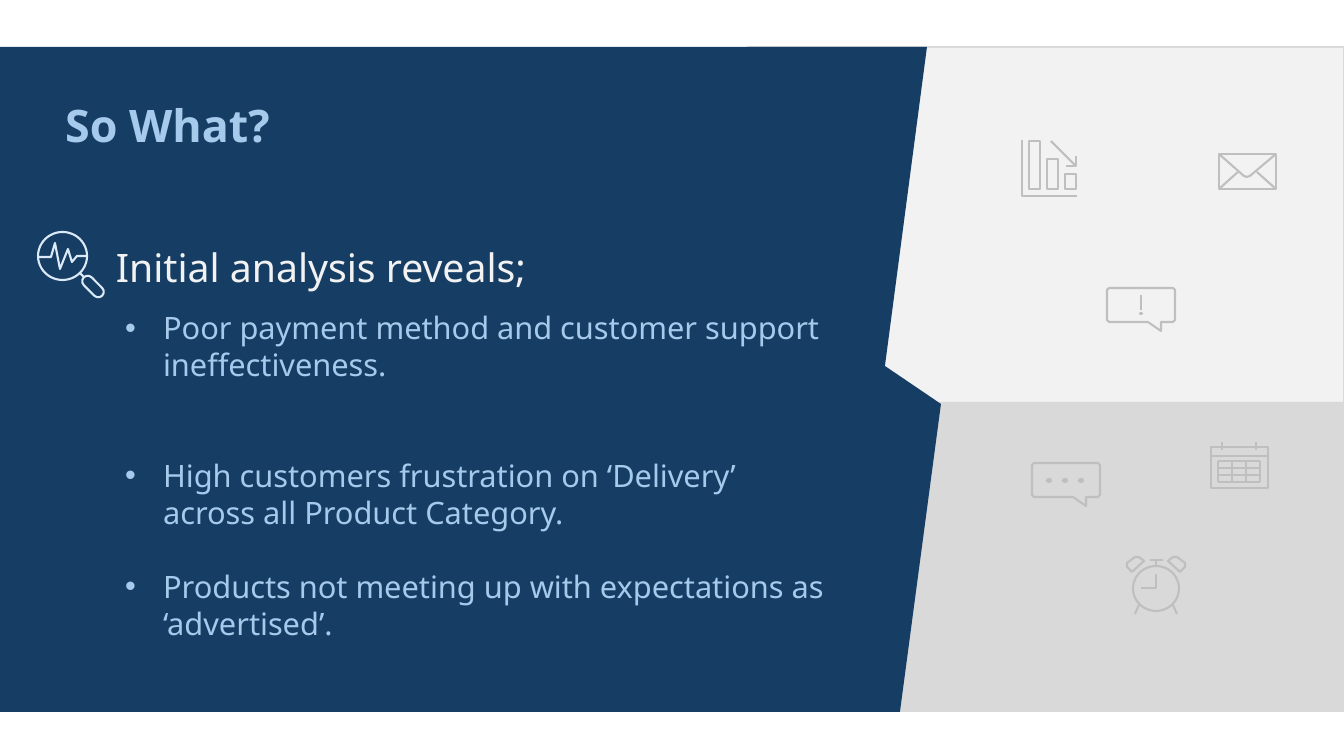
from dataclasses import dataclass
from pptx import Presentation
from pptx.dml.color import RGBColor
from pptx.enum.shapes import MSO_SHAPE as SHAPE
from pptx.enum.text import MSO_ANCHOR as ANCHOR, MSO_AUTO_SIZE as AUTO, PP_ALIGN as ALIGN
from pptx.util import Pt

PX = 914400 / 100.8


@dataclass(frozen=True)
class Theme:
    font: str = "Noto Sans"
    navy: str = "163E64"
    sky: str = "A6CAEC"
    ice: str = "DCEAF7"
    light: str = "F2F2F2"
    panel: str = "D9D9D9"
    icon: str = "BFBFBF"
    title: int = 32
    heading: int = 28
    body: int = 22
    leading: float = 26.4
    stroke: float = 1.5


T = Theme()

TITLE = "So What?"
HEADING = "Initial analysis reveals;"
FINDINGS = [
    ("Poor payment method and customer support ineffectiveness.", 0),
    ("High customers frustration on ‘Delivery’ across all Product Category.", 2),
    ("Products not meeting up with expectations as ‘advertised’.", 1),
]
PANELS = [
    ((748, 47, 596, 376), T.light, T.panel),
    ((748, 402, 596, 310), T.panel, None),
]
BACKDROP = [(0, 47), (927, 47), (885, 366), (941, 404), (900, 712), (0, 712), (0, 47)]


def box(x1, y1, x2, y2):
    return [(x1, y1), (x2, y1), (x2, y2), (x1, y2), (x1, y1)]


def bubble(x, y):
    pts = [(2, 0), (66, 0), (68, 2), (68, 32), (66, 34), (54, 34), (54, 43),
           (41, 34), (2, 34), (0, 32), (0, 2), (2, 0)]
    return [(x + dx, y + dy) for dx, dy in pts]


def mirror(path, axis):
    return [(2 * axis - x, y) for x, y in path]


BELL = [(1132, 572), (1127, 567), (1127, 563), (1135, 557), (1139, 557), (1144, 561), (1132, 572)]
LEG = [(1139, 605), (1135, 614)]

FALLING_CHART = [
    [(1022, 140), (1022, 196), (1077, 196)],
    *[box(x, top, x + 11, 189) for x, top in [(1029, 141), (1047, 159), (1065, 174)]],
    [(1051, 141), (1076, 166)],
    [(1066, 166), (1076, 166), (1076, 156)],
]
ENVELOPE = [
    box(1219, 154, 1276, 189),
    [(1219, 154), (1244, 176), (1247, 177), (1250, 176), (1276, 154)],
    [(1219, 189), (1238, 172)],
    [(1257, 172), (1276, 189)],
]
ALERT = [bubble(1107, 288), [(1141, 295), (1141, 310)]]
CHAT = [bubble(1032, 463)]
CALENDAR = [
    box(1211, 447, 1268, 488),
    [(1211, 456), (1268, 456)],
    *[[(x, 442), (x, 450)] for x in (1222, 1256)],
    *[[(1218 + 14 * i, 461), (1218 + 14 * i, 482)] for i in range(4)],
    *[[(1218, 461 + 7 * i), (1260, 461 + 7 * i)] for i in range(4)],
]
CLOCK = [
    BELL, mirror(BELL, 1156), LEG, mirror(LEG, 1156),
    [(1156, 574), (1156, 588), (1141, 588)],
    [(1156, 565), (1156, 560)],
    [(1150, 560), (1163, 560)],
]
MAGNIFIER = [
    [(39, 257), (51, 257), (55, 243), (60, 269), (68, 249), (72, 262), (77, 256), (86, 256)],
    [(80, 273), (84, 277)],
]
ICONS = [(paths, T.icon) for paths in (FALLING_CHART, ENVELOPE, ALERT, CHAT, CALENDAR, CLOCK)]
ICONS.append((MAGNIFIER, T.ice))

DOTS = [(1139, 312, 4, 3)] + [(1046 + 16 * i, 478, 6, 5) for i in range(3)]
CLOCK_FACE = (1133, 566, 46, 45)
LENS = (38, 232, 49, 48)
HANDLE = (80, 281, 26, 11)


def emu(*lengths):
    return [round(n * PX) for n in lengths]


def paint(sp, fill=None, line=None):
    sp.shadow.inherit = False
    if fill:
        sp.fill.solid()
        sp.fill.fore_color.rgb = RGBColor.from_string(fill)
    else:
        sp.fill.background()
    if line:
        sp.line.color.rgb = RGBColor.from_string(line)
        sp.line.width = Pt(T.stroke)
    else:
        sp.line.fill.background()
    return sp


def add_preset(shapes, kind, rect, fill=None, line=None):
    return paint(shapes.add_shape(kind, *emu(*rect)), fill, line)


def add_outline(shapes, paths, fill=None, line=None):
    fb = shapes.build_freeform(*paths[0][0], scale=PX)
    for i, path in enumerate(paths):
        if i:
            fb.move_to(*path[0])
        fb.add_line_segments(path[1:], close=False)
    return paint(fb.convert_to_shape(), fill, line)


def place(sp, rect, anchor):
    sp.left, sp.top, sp.width, sp.height = emu(*rect)
    tf = sp.text_frame
    tf.word_wrap = True
    tf.auto_size = AUTO.NONE
    tf.vertical_anchor = anchor
    return tf


def add_run(p, text, size, color, bold=False):
    p.alignment = ALIGN.LEFT
    r = p.add_run()
    r.text = text
    r.font.name = T.font
    r.font.size = Pt(size)
    r.font.bold = bold
    r.font.color.rgb = RGBColor.from_string(color)


def main():
    prs = Presentation()
    prs.slide_width, prs.slide_height = emu(1344, 756)
    slide = prs.slides.add_slide(prs.slide_layouts[1])
    shapes = slide.shapes
    title, body = slide.placeholders

    for rect, fill, line in PANELS:
        add_preset(shapes, SHAPE.RECTANGLE, rect, fill, line)
    add_outline(shapes, [BACKDROP], fill=T.navy)

    for paths, color in ICONS:
        add_outline(shapes, paths, line=color)
    for rect in DOTS:
        add_preset(shapes, SHAPE.OVAL, rect, fill=T.icon)
    add_preset(shapes, SHAPE.OVAL, CLOCK_FACE, line=T.icon)
    add_preset(shapes, SHAPE.OVAL, LENS, line=T.ice)
    handle = add_preset(shapes, SHAPE.ROUNDED_RECTANGLE, HANDLE, line=T.ice)
    handle.adjustments[0] = 0.5
    handle.rotation = 45

    for sp in (title, body):
        shapes.element.append(sp.element)

    tf = place(title, (55, 93, 466, 64), ANCHOR.MIDDLE)
    add_run(tf.paragraphs[0], TITLE, T.title, T.sky, bold=True)

    heading = shapes.add_textbox(0, 0, 0, 0)
    tf = place(heading, (106, 238, 729, 57), ANCHOR.MIDDLE)
    add_run(tf.paragraphs[0], HEADING, T.heading, T.light)

    tf = place(body, (115, 304, 729, 383), ANCHOR.TOP)
    indent, = emu(38)
    for i, (text, gap) in enumerate(FINDINGS):
        p = tf.add_paragraph() if i else tf.paragraphs[0]
        p.line_spacing = Pt(T.leading)
        p.space_before = Pt(gap * T.leading)
        add_run(p, text, T.body, T.sky)
        pPr = p._p.get_or_add_pPr()
        pPr.set("marL", str(indent))
        pPr.set("indent", str(-indent))

    prs.save("out.pptx")


if __name__ == "__main__":
    main()
